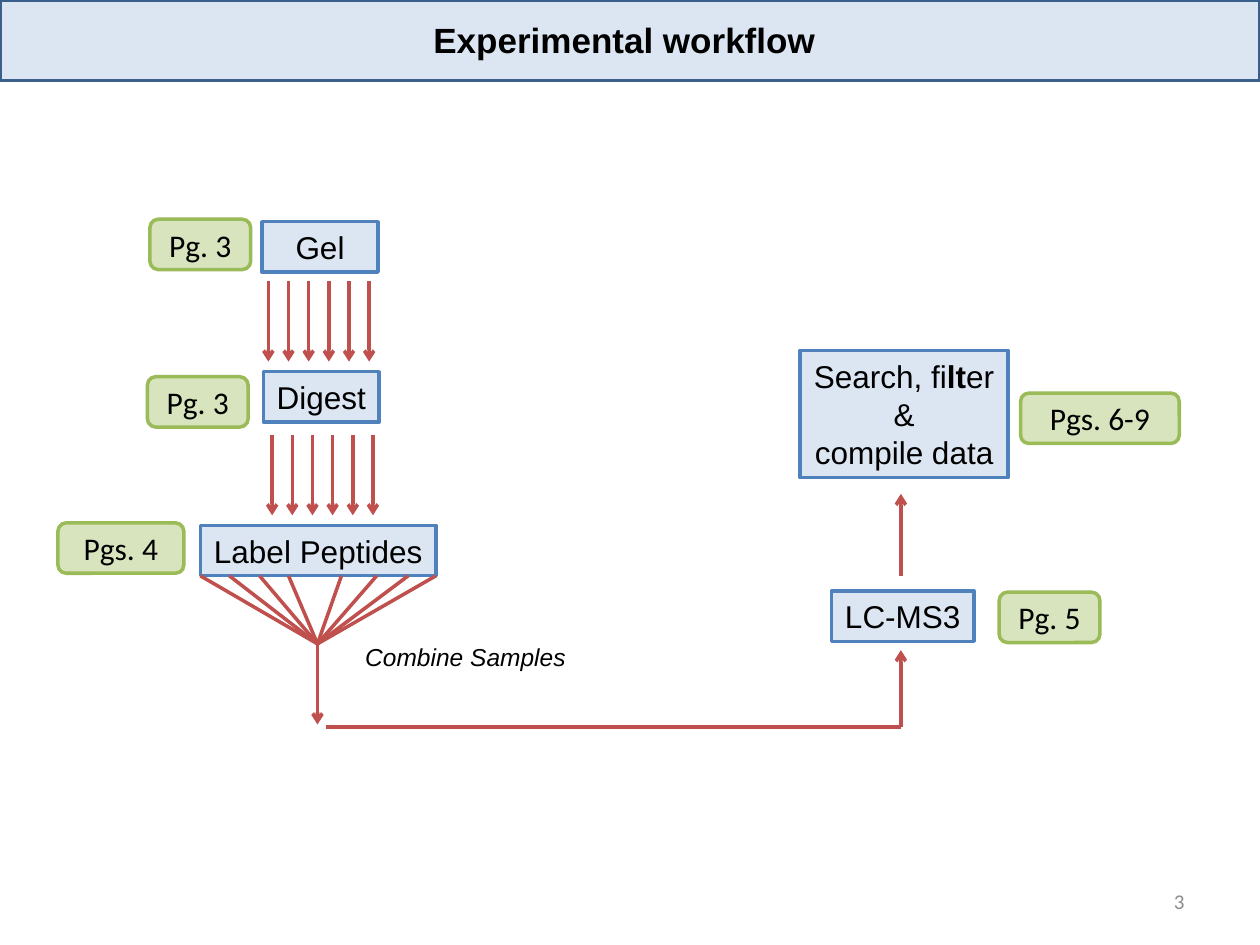
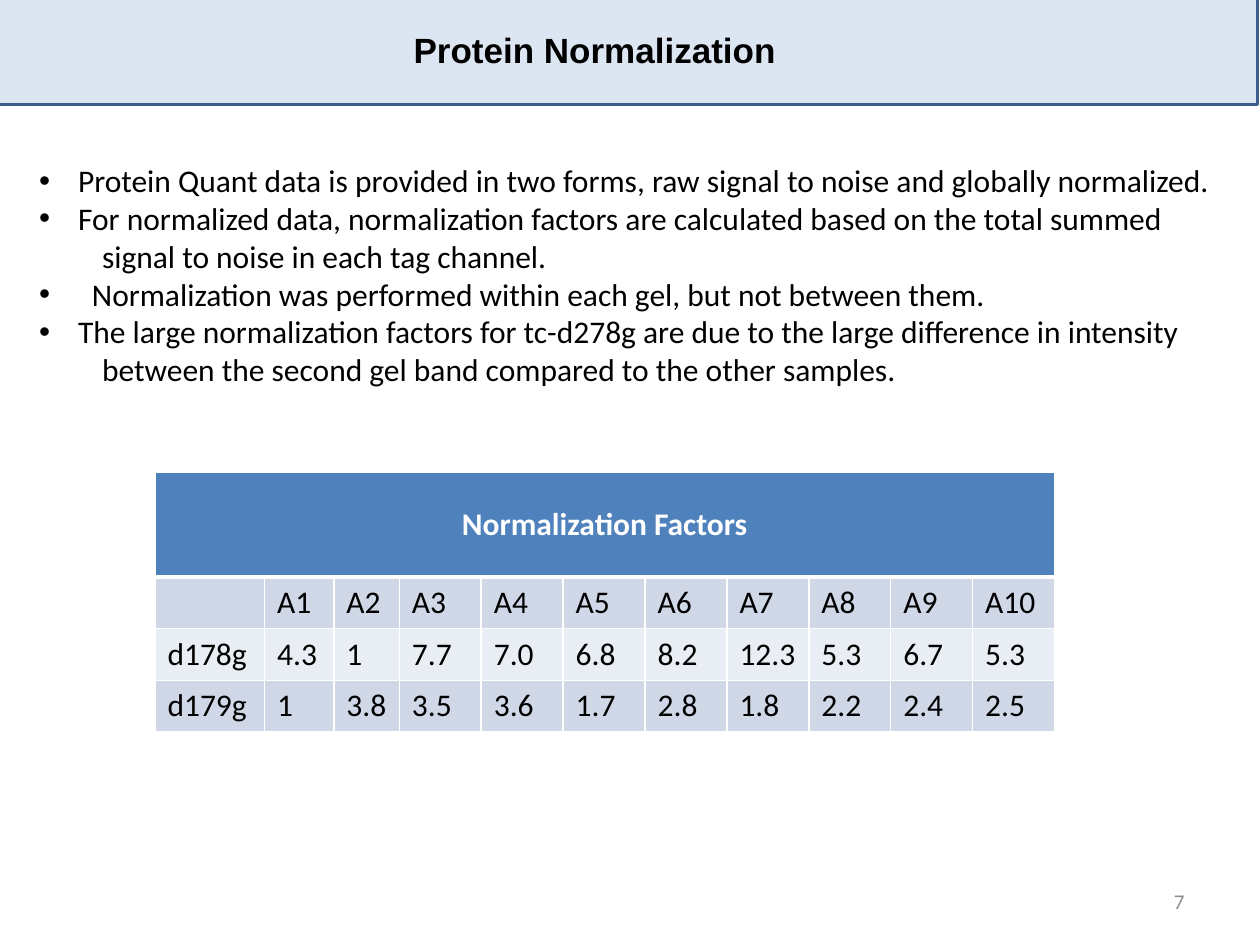
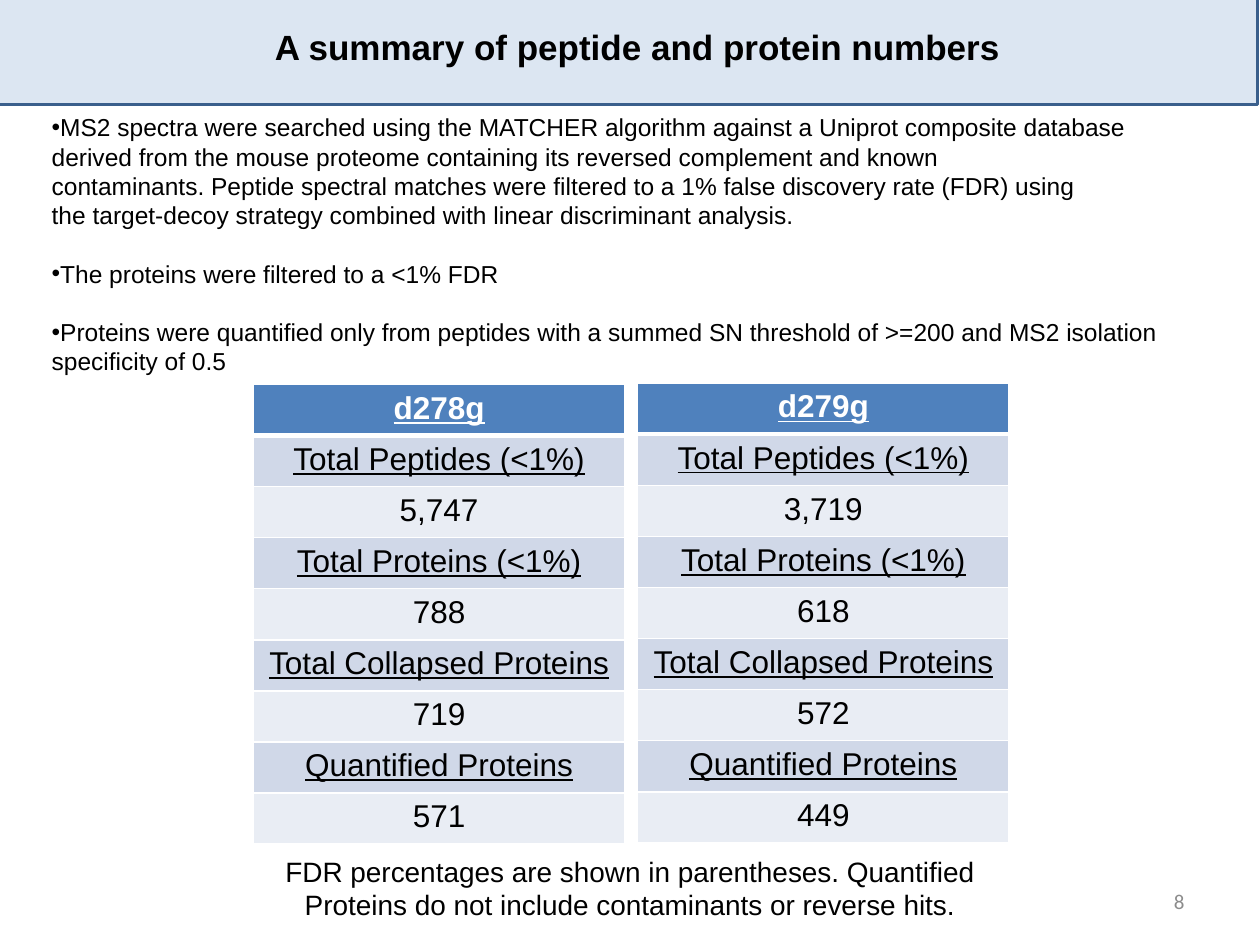
"""Build three slides on a proteomics workflow, its normalization and its summary numbers."""
import lxml.etree
import pptx
import pptx.dml.color
import pptx.enum.shapes
import pptx.enum.text
import pptx.oxml.ns
import pptx.util

Inches, Pt = pptx.util.Inches, pptx.util.Pt
RGB = pptx.dml.color.RGBColor.from_string
SHAPE = pptx.enum.shapes.MSO_SHAPE
ALIGN, ANCHOR = pptx.enum.text.PP_ALIGN, pptx.enum.text.MSO_ANCHOR
qn = pptx.oxml.ns.qn
SubElement = lxml.etree.SubElement
C = {
    "text": "000000", "white": "FFFFFF", "number": "8C8C8C",
    "pale": "DCE6F2", "band_line": "3A5F8C", "blue": "4F81BD",
    "tag": "D7E4BD", "tag_line": "9BBB59", "arrow": "C0504D",
    "row_dark": "D0D8E8", "row_light": "E9EDF4",
}


def write(tf, text, size=18, font="Arial", color="text", bold=False, italic=False,
          align=ALIGN.LEFT, level=0, before=0, left=0, first=0, bullet=None):
    """Add a paragraph; newlines break lines and asterisks enclose bold words."""
    p = tf.add_paragraph() if tf.text else tf.paragraphs[0]
    p.alignment, p.level, p.line_spacing = align, level, 1.0
    p.space_before, p.space_after = Pt(before), Pt(0)
    pPr = p._p.get_or_add_pPr()
    pPr.set("marL", str(Inches(left)))
    pPr.set("indent", str(Inches(first)))
    if bullet:
        SubElement(pPr, qn("a:buFont"), typeface="Arial")
        SubElement(pPr, qn("a:buChar"), char=bullet)
    else:
        SubElement(pPr, qn("a:buNone"))
    for i, line in enumerate(text.split("\n")):
        if i:
            p.add_line_break()
            SubElement(p._p[-1], qn("a:rPr"), sz=str(size * 100))
        for j, part in enumerate(line.split("*")):
            r = p.add_run()
            r.text = part
            r.font.name, r.font.size = font, Pt(size)
            r.font.bold, r.font.italic = bold or j % 2 == 1, italic
            r.font.color.rgb = RGB(C[color])


def grid(s, x, y, widths, heights, rows, **fmt):
    """Add a table with a blue header row, banded rows and white borders."""
    t = s.shapes.add_table(len(rows), len(widths), Inches(x), Inches(y),
                           Inches(sum(widths)), Inches(sum(heights))).table
    for col, width in zip(t.columns, widths):
        col.width = Inches(width)
    for i, (height, values) in enumerate(zip(heights, rows)):
        t.rows[i].height = Inches(height)
        for j, value in enumerate(values):
            cell = t.cell(i, j)
            tcPr = cell._tc.get_or_add_tcPr()
            for side in ("lnL", "lnR", "lnT", "lnB"):
                thick = (i, side) in ((0, "lnB"), (1, "lnT"))
                ln = SubElement(tcPr, qn("a:" + side), w=str(Pt(3 if thick else 1)))
                fill = SubElement(ln, qn("a:solidFill"))
                SubElement(fill, qn("a:srgbClr"), val=C["white"])
            cell.fill.solid()
            cell.fill.fore_color.rgb = RGB(
                C["blue" if i == 0 else "row_dark" if i % 2 else "row_light"])
            if value:
                write(cell.text_frame, value, bold=i == 0,
                      color="text" if i else "white", **fmt)
    return t


prs = pptx.Presentation()
prs.slide_width, prs.slide_height = Inches(10), Inches(7.5)

deck = [
    (5, "Experimental workflow", "3", (0, 0, 10, 0.64), (3.33, 0.1, 3.25, 0.44)),
    (1, "Protein Normalization", "7", (-0.02, -0.03, 10, 0.86), (3.17, 0.18, 3.1, 0.44)),
    (1, "A summary of peptide and protein numbers", "8",
     (-0.02, -0.03, 10, 0.86), (0.14, 0.15, 9.84, 0.44)),
]
for layout, title, number, band_box, title_box in deck:
    s = prs.slides.add_slide(prs.slide_layouts[layout])
    band = s.shapes.add_shape(SHAPE.RECTANGLE, *map(Inches, band_box))
    band.shadow.inherit = False
    band.fill.solid()
    band.fill.fore_color.rgb = RGB(C["pale"])
    band.line.color.rgb, band.line.width = RGB(C["band_line"]), Pt(2)
    s.shapes.element.insert(2, band.element)

    sp = s.shapes.title
    sp.left, sp.top, sp.width, sp.height = map(Inches, title_box)
    tf = sp.text_frame
    tf.auto_size, tf.word_wrap = pptx.enum.text.MSO_AUTO_SIZE.NONE, False
    tf.vertical_anchor = ANCHOR.TOP
    write(tf, title, size=20, bold=True, align=ALIGN.CENTER)

    tf = s.shapes.add_textbox(Inches(7.17), Inches(6.95), Inches(2.33), Inches(0.4)).text_frame
    tf.word_wrap, tf.vertical_anchor = True, ANCHOR.MIDDLE
    write(tf, number, size=12, font="Calibri", color="number", align=ALIGN.RIGHT)

workflow, normalization, summary = prs.slides

steps = [
    ("Gel", 2.08, 1.76, 0.92, 0.4),
    ("Digest", 2.09, 2.95, 0.92, 0.4),
    ("Label Peptides", 1.59, 4.17, 1.87, 0.4),
    ("LC-MS3", 6.6, 4.69, 1.13, 0.4),
    ("Search, fi*lt*er|&|compile data", 6.35, 2.78, 1.65, 1.01),
]
tags = [
    ("Pg. 3", 1.19, 1.74, 0.8, 0.4),
    ("Pg. 3", 1.17, 2.99, 0.8, 0.4),
    ("Pgs. 4", 0.46, 4.15, 1, 0.4),
    ("Pg. 5", 7.93, 4.7, 0.8, 0.4),
    ("Pgs. 6-9", 8.1, 3.12, 1.26, 0.4),
]
for boxes, kind, fill, line, font in (
    (steps, SHAPE.RECTANGLE, "pale", "blue", "Arial"),
    (tags, SHAPE.ROUNDED_RECTANGLE, "tag", "tag_line", "Calibri"),
):
    for text, *box in boxes:
        sp = workflow.shapes.add_shape(kind, *map(Inches, box))
        sp.shadow.inherit = False
        sp.fill.solid()
        sp.fill.fore_color.rgb = RGB(C[fill])
        sp.line.color.rgb, sp.line.width = RGB(C[line]), Pt(2)
        tf = sp.text_frame
        tf.word_wrap, tf.vertical_anchor = False, ANCHOR.MIDDLE
        for part in text.split("|"):
            write(tf, part, font=font, align=ALIGN.CENTER)

tf = workflow.shapes.add_textbox(Inches(2.8), Inches(5.05), Inches(1.8), Inches(0.34)).text_frame
tf.word_wrap = False
write(tf, "Combine Samples", size=14, italic=True)

arrows = [(x + 0.16 * i, y, x + 0.16 * i, y + 0.64)
          for x, y in ((2.13, 2.23), (2.16, 3.45)) for i in range(6)]
arrows += [(2.52, 5.11, 2.52, 5.75), (7.15, 5.77, 7.15, 5.16), (7.15, 4.57, 7.15, 3.92)]
lines = [(x, 4.57, 2.52, 5.11) for x in (1.59, 1.82, 2.06, 2.29, 2.71, 2.99, 3.24, 3.46)]
lines.append((2.59, 5.77, 7.15, 5.77))
for ends, has_head in [(a, True) for a in arrows] + [(l, False) for l in lines]:
    cx = workflow.shapes.add_connector(
        pptx.enum.shapes.MSO_CONNECTOR.STRAIGHT, *map(Inches, ends))
    cx.line.color.rgb, cx.line.width = RGB(C["arrow"]), Pt(2)
    spPr = cx.element.spPr
    if has_head:
        SubElement(spPr.find(qn("a:ln")), qn("a:tailEnd"), type="arrow")
    SubElement(spPr, qn("a:effectLst"))

point = dict(left=0.31, first=-0.31, bullet="•")
spaced = dict(left=0.42, first=-0.42, bullet="•")
more = dict(left=0.5, level=1)
forms = [
    ("Protein Quant data is provided in two forms, raw signal to noise and globally normalized.", point),
    ("For normalized data, normalization factors are calculated based on the total summed", point),
    ("signal to noise in each tag channel.", more),
    ("Normalization was performed within each gel, but not between them.", spaced),
    ("The large normalization factors for tc-d278g are due to the large difference in intensity", point),
    ("between the second gel band compared to the other samples.", more),
]
flush = dict(first=-0.31, bullet="•")
gap = dict(flush, before=16.5)
filters = [
    ("MS2 spectra were searched using the MATCHER algorithm against a Uniprot composite database\n"
     "derived from the mouse proteome containing its reversed complement and known\n"
     "contaminants. Peptide spectral matches were filtered to a 1% false discovery rate (FDR) using\n"
     "the target-decoy strategy combined with linear discriminant analysis.", flush),
    ("The proteins were filtered to a <1% FDR", gap),
    ("Proteins were quantified only from peptides with a summed SN threshold of >=200 and MS2 isolation\n"
     "specificity of 0.5", gap),
]
for s, box, items, size, font in (
    (normalization, (0.21, 1.23, 9.6, 2.52), forms, 18, "Calibri"),
    (summary, (0.31, 0.84, 9.29, 2.22), filters, 14, "Arial"),
):
    sp = s.placeholders[1]
    sp.left, sp.top, sp.width, sp.height = map(Inches, box)
    tf = sp.text_frame
    tf.auto_size, tf.word_wrap = pptx.enum.text.MSO_AUTO_SIZE.NONE, True
    tf.vertical_anchor = ANCHOR.TOP
    for text, style in items:
        write(tf, text, size=size, font=font, **style)

factors = [
    ["Normalization Factors"] + [""] * 10,
    [""] + [f"A{n}" for n in range(1, 11)],
    ["d178g", "4.3", "1", "7.7", "7.0", "6.8", "8.2", "12.3", "5.3", "6.7", "5.3"],
    ["d179g", "1", "3.8", "3.5", "3.6", "1.7", "2.8", "1.8", "2.2", "2.4", "2.5"],
]
t = grid(normalization, 1.23, 3.75, [0.87, 0.55, 0.52] + [0.65] * 8,
         [0.83] + [0.41] * 3, factors, font="Calibri")
header = t.cell(0, 0)
header.merge(t.cell(0, 10))
header.vertical_anchor = ANCHOR.MIDDLE
header.text_frame.paragraphs[0].alignment = ALIGN.CENTER

measures = ["Total Peptides (<1%)", "Total Proteins (<1%)",
            "Total Collapsed Proteins", "Quantified Proteins"]
for x, y, gel, counts in (
    (2.01, 3.05, "d278g", ["5,747", "788", "719", "571"]),
    (5.06, 3.04, "d279g", ["3,719", "618", "572", "449"]),
):
    rows = [[gel]] + [[v] for pair in zip(measures, counts) for v in pair]
    t = grid(summary, x, y, [2.95], [3.65 / 9] * 9, rows, align=ALIGN.CENTER)
    for i in (0, 1, 3, 5, 7):
        t.cell(i, 0).text_frame.paragraphs[0].runs[0].font.underline = True

tf = summary.shapes.add_textbox(Inches(1.81), Inches(6.73), Inches(6.38), Inches(0.64)).text_frame
tf.word_wrap = True
write(tf, "FDR percentages are shown in parentheses. Quantified Proteins do not include "
      "contaminants or reverse hits.", size=16, align=ALIGN.CENTER)

prs.save("out.pptx")
